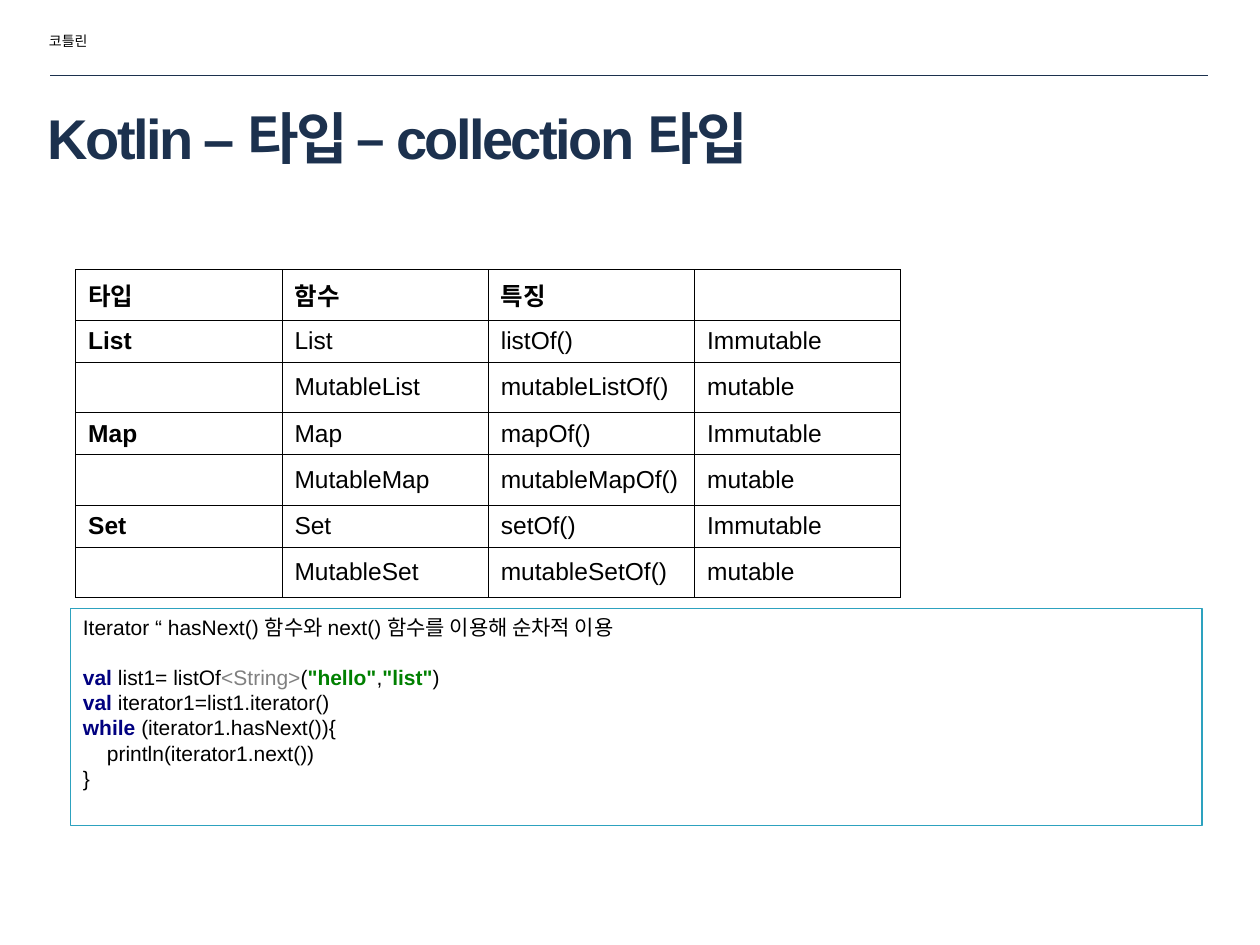
"""Build a slide on Kotlin collection types with a table and an iterator example."""
from lxml.etree import SubElement
from pptx import Presentation
from pptx.dml.color import RGBColor
from pptx.enum.shapes import MSO_CONNECTOR as CONN, MSO_SHAPE as SHAPE
from pptx.enum.text import MSO_ANCHOR as ANCHOR, PP_ALIGN as ALIGN
from pptx.oxml import parse_xml
from pptx.oxml.ns import nsdecls, qn
from pptx.util import Inches, Pt

COLORS = {"text": "000000", "navy": "1C314E", "frame": "2DA2BF",
          "keyword": "000080", "generic": "808080", "string": "008000"}
FONT = "Arial"
BOLD_STYLES = ("keyword", "string")

HEADER = "코틀린"
TITLE = "Kotlin – 타입 – collection 타입"
ROWS = [
    ("타입", "함수", "특징", ""),
    ("List", "List", "listOf()", "Immutable"),
    ("", "MutableList", "mutableListOf()", "mutable"),
    ("Map", "Map", "mapOf()", "Immutable"),
    ("", "MutableMap", "mutableMapOf()", "mutable"),
    ("Set", "Set", "setOf()", "Immutable"),
    ("", "MutableSet", "mutableSetOf()", "mutable"),
]
TABLE_LEFT, TABLE_TOP, TABLE_WIDTH = 0.6, 2.14, 6.55
TALL, SHORT = 0.38, 0.32

NOTE = "Iterator “ hasNext() 함수와 next() 함수를 이용해 순차적 이용"
CODE = [
    (0, [("val ", "keyword"), ("list1= listOf", "text"), ("<String>", "generic"),
         ("(", "text"), ('"hello"', "string"), (",", "text"),
         ('"list"', "string"), (")", "text")]),
    (0, [("val ", "keyword"), ("iterator1=list1.iterator()", "text")]),
    (0, [("while ", "keyword"), ("(iterator1.hasNext()){", "text")]),
    (0.19, [("println(iterator1.next())", "text")]),
    (0, [("}", "text")]),
]


def rgb(name):
    return RGBColor.from_string(COLORS[name])


def add_run(p, text, size, color="text", bold=False, spacing=None):
    r = p.add_run()
    r.text = text
    for key, value in {"name": FONT, "size": Pt(size), "bold": bold}.items():
        setattr(r.font, key, value)
    r.font.color.rgb = rgb(color)
    if spacing is not None:
        r.font._element.set("spc", str(int(spacing * 100)))


def add_text(s, box, text, anchor, **style):
    tf = s.shapes.add_textbox(*map(Inches, box)).text_frame
    for key, value in {"word_wrap": True, "vertical_anchor": anchor}.items():
        setattr(tf, key, value)
    add_run(tf.paragraphs[0], text, **style)


def add_rule(s):
    sp = s.shapes.add_connector(CONN.STRAIGHT, *map(Inches, (0.4, 0.6, 9.59, 0.6)))
    sp.line.color.rgb = rgb("navy")
    sp.line.width = Pt(0.25)
    SubElement(sp._element.spPr, qn("a:effectLst"))


def set_borders(cell):
    tcPr = cell._tc.get_or_add_tcPr()
    for i, side in enumerate("LRTB"):
        tcPr.insert(i, parse_xml(
            f'<a:ln{side} {nsdecls("a")} w="{Pt(0.5)}"><a:solidFill>'
            f'<a:srgbClr val="{COLORS["text"]}"/></a:solidFill></a:ln{side}>'))


def add_collection_table(s):
    heights = [SHORT if i % 2 else TALL for i in range(len(ROWS))]
    box = (TABLE_LEFT, TABLE_TOP, TABLE_WIDTH, sum(heights))
    table = s.shapes.add_table(len(ROWS), len(ROWS[0]), *map(Inches, box)).table
    table.first_row = table.horz_banding = False
    for i, (row, height) in enumerate(zip(ROWS, heights)):
        table.rows[i].height = Inches(height)
        for j, text in enumerate(row):
            cell = table.cell(i, j)
            cell.vertical_anchor = ANCHOR.MIDDLE
            cell.fill.background()
            set_borders(cell)
            if text:
                add_run(cell.text_frame.paragraphs[0], text, 14, bold=i == 0 or j == 0)


def add_code_box(s):
    sp = s.shapes.add_shape(SHAPE.RECTANGLE, *map(Inches, (0.56, 4.83, 8.98, 1.72)))
    sp.shadow.inherit = False
    sp.fill.background()
    sp.line.color.rgb = rgb("frame")
    sp.line.width = Pt(0.75)
    tf = sp.text_frame
    for key, value in {"word_wrap": True, "vertical_anchor": ANCHOR.TOP}.items():
        setattr(tf, key, value)
    p = tf.paragraphs[0]
    p.alignment = ALIGN.LEFT
    add_run(p, NOTE, 12)
    for i, (indent, runs) in enumerate(CODE):
        p = tf.add_paragraph()
        p.alignment = ALIGN.LEFT
        p.space_before = Pt(0 if i else 14)
        p._p.get_or_add_pPr().set("marL", str(Inches(indent)))
        for text, style in runs:
            add_run(p, text, 12, style, style in BOLD_STYLES)


def main():
    prs = Presentation()
    prs.slide_width, prs.slide_height = Inches(10), Inches(7.5)
    s = prs.slides.add_slide(prs.slide_layouts[6])
    add_text(s, (0.29, 0.21, 1.73, 0.24), HEADER, ANCHOR.TOP, size=8)
    add_rule(s)
    add_text(s, (0.28, 0.77, 9.41, 0.64), TITLE, ANCHOR.MIDDLE,
             size=32, color="navy", bold=True, spacing=-1.5)
    add_collection_table(s)
    add_code_box(s)
    prs.save("out.pptx")


if __name__ == "__main__":
    main()
